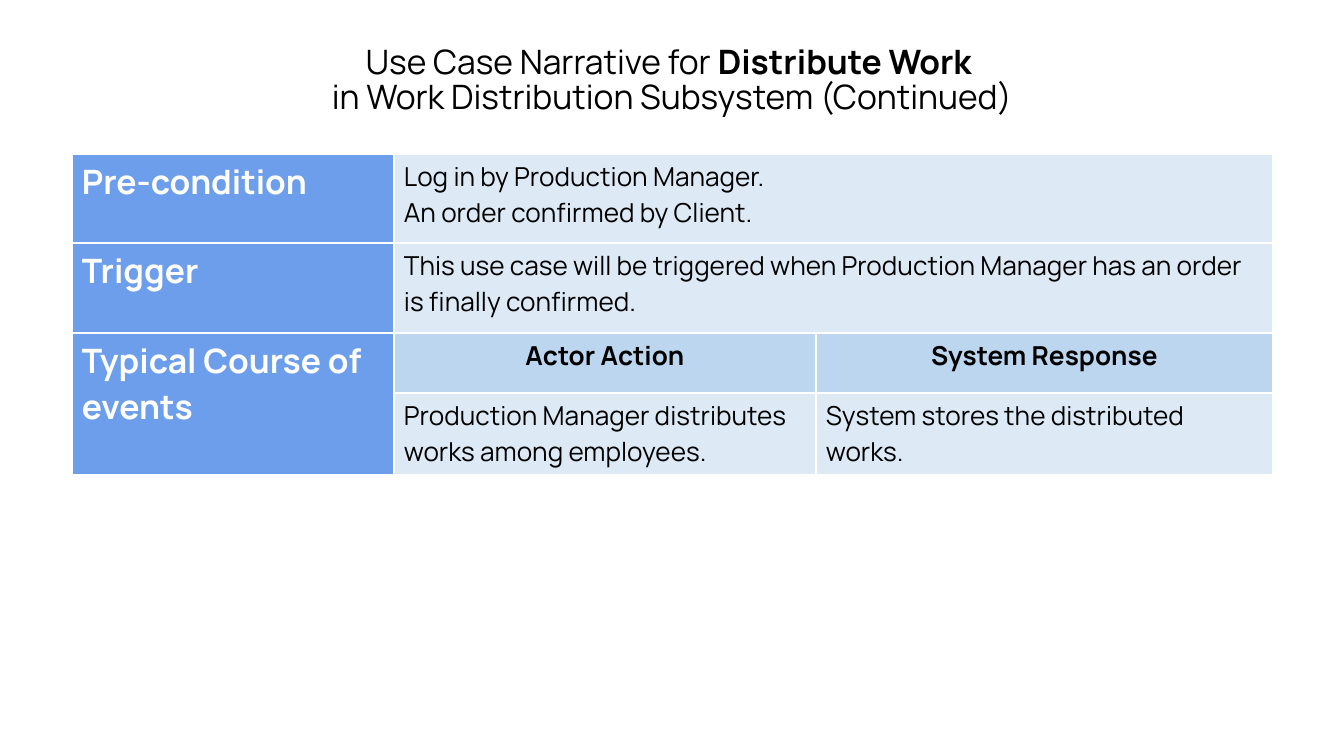
from dataclasses import dataclass

from lxml.etree import SubElement
from pptx import Presentation
from pptx.dml.color import RGBColor
from pptx.enum.text import MSO_ANCHOR, MSO_AUTO_SIZE, PP_ALIGN
from pptx.oxml.ns import qn
from pptx.util import Emu, Pt

EMU_PER_PX = 914400 / 134.4


@dataclass(frozen=True)
class Theme:
    font: str = "Manrope"
    ink: str = "000000"
    white: str = "FFFFFF"
    label_fill: str = "6D9EEB"
    header_fill: str = "BBD6EE"
    body_fill: str = "DDEAF6"
    large: int = 18
    body: int = 14
    border: int = 1


THEME = Theme()
COLUMN_WIDTHS = (322, 422, 457)
ROW_HEIGHTS = (89, 90, 60, 81)


def px(length):
    return Emu(round(length * EMU_PER_PX))


def write_text(frame, paragraphs, size=THEME.body, color=THEME.ink, bold=False,
               align=PP_ALIGN.LEFT, spacing=None):
    """Fill a frame; each paragraph is a string or a list of (text, bold) runs."""
    frame.word_wrap = True
    for index, content in enumerate(paragraphs):
        paragraph = frame.paragraphs[0] if index == 0 else frame.add_paragraph()
        paragraph.alignment = align
        paragraph.space_before = Pt(0)
        if spacing:
            paragraph.line_spacing = spacing
        runs = [(content, bold)] if isinstance(content, str) else content
        for text, run_bold in runs:
            run = paragraph.add_run()
            run.text = text
            run.font.name = THEME.font
            run.font.size = Pt(size)
            run.font.bold = run_bold
            run.font.color.rgb = RGBColor.from_string(color)


def add_borders(cell):
    properties = cell._tc.get_or_add_tcPr()
    for position, side in enumerate(("a:lnL", "a:lnR", "a:lnT", "a:lnB")):
        line = SubElement(properties, qn(side), w=str(Pt(THEME.border)))
        fill = SubElement(line, qn("a:solidFill"))
        SubElement(fill, qn("a:srgbClr"), val=THEME.white)
        properties.remove(line)
        properties.insert(position, line)


def fill_cell(cell, paragraphs, fill, **text_format):
    cell.fill.solid()
    cell.fill.fore_color.rgb = RGBColor.from_string(fill)
    cell.margin_left = cell.margin_right = px(10)
    cell.margin_top = cell.margin_bottom = px(5)
    write_text(cell.text_frame, paragraphs, **text_format)


def add_title(slide):
    title = slide.shapes.title
    title.left, title.top, title.width, title.height = map(px, (110, 39, 1124, 85))
    frame = title.text_frame
    frame.auto_size = MSO_AUTO_SIZE.NONE
    frame.vertical_anchor = MSO_ANCHOR.MIDDLE
    frame.margin_left = frame.margin_right = px(10)
    frame.margin_top = frame.margin_bottom = px(5)
    write_text(
        frame,
        [[("Use Case Narrative for ", False), ("Distribute Work ", True)],
         "in Work Distribution Subsystem (Continued)"],
        size=THEME.large, align=PP_ALIGN.CENTER, spacing=0.88)


def add_narrative_table(slide):
    table = slide.shapes.add_table(
        len(ROW_HEIGHTS), len(COLUMN_WIDTHS), px(72), px(154),
        px(sum(COLUMN_WIDTHS)), px(sum(ROW_HEIGHTS))).table
    for column, width in zip(table.columns, COLUMN_WIDTHS):
        column.width = px(width)
    for row, height in zip(table.rows, ROW_HEIGHTS):
        row.height = px(height)

    for row in (0, 1):
        table.cell(row, 1).merge(table.cell(row, 2))
    table.cell(2, 0).merge(table.cell(3, 0))

    labels = ("Pre-condition", "Trigger", "Typical Course of events")
    for row, label in enumerate(labels):
        fill_cell(table.cell(row, 0), [label], THEME.label_fill,
                  size=THEME.large, color=THEME.white, bold=True)

    for column, header in enumerate(("Actor Action", "System Response"), start=1):
        fill_cell(table.cell(2, column), [header], THEME.header_fill,
                  bold=True, align=PP_ALIGN.CENTER)

    descriptions = {
        (0, 1): ["Log in by Production Manager.", "An order confirmed by Client."],
        (1, 1): ["This use case will be triggered when Production Manager "
                 "has an order is finally confirmed."],
        (3, 1): ["Production Manager distributes works among employees."],
        (3, 2): ["System stores the distributed works."],
    }
    for (row, column), paragraphs in descriptions.items():
        fill_cell(table.cell(row, column), paragraphs, THEME.body_fill)

    for cell in table.iter_cells():
        add_borders(cell)


def main():
    presentation = Presentation()
    presentation.slide_width, presentation.slide_height = px(1344), px(756)
    slide = presentation.slides.add_slide(presentation.slide_layouts[5])
    add_title(slide)
    add_narrative_table(slide)
    presentation.save("out.pptx")


if __name__ == "__main__":
    main()
